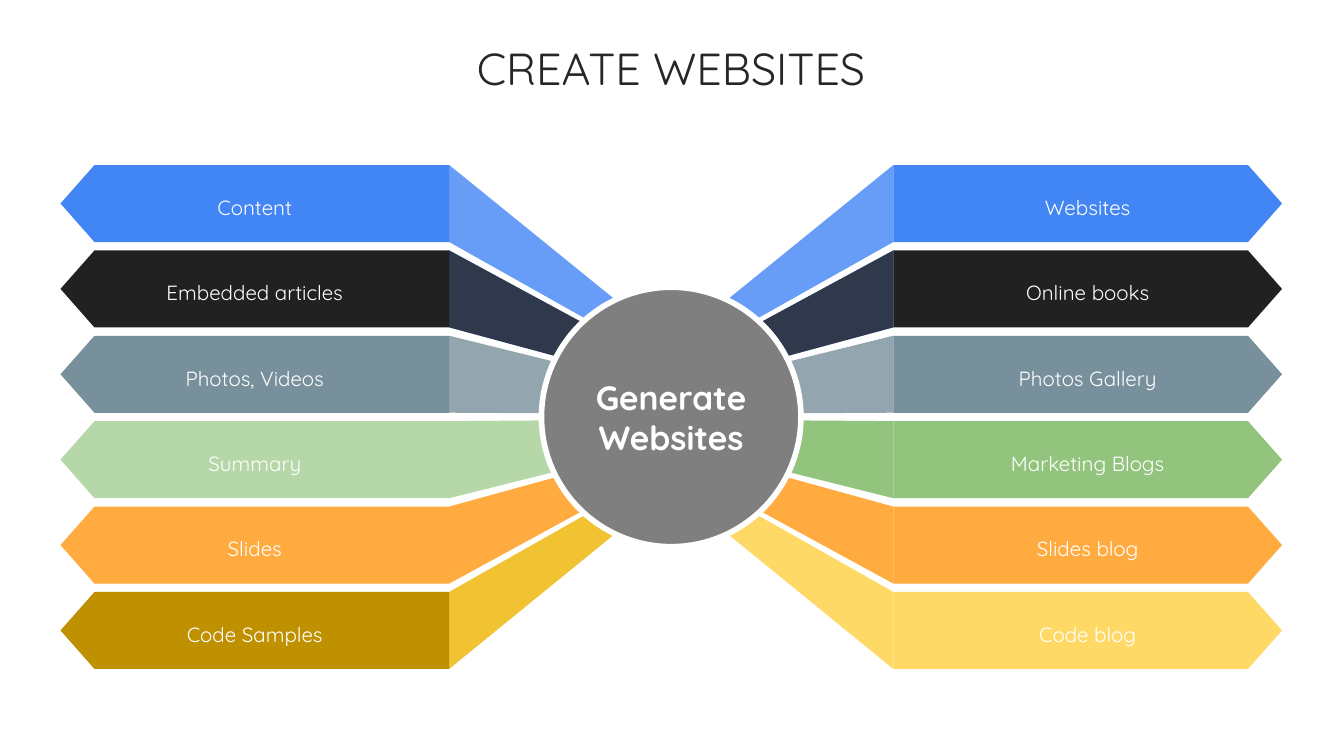
from dataclasses import dataclass

from lxml.etree import SubElement
from pptx import Presentation
from pptx.dml.color import RGBColor
from pptx.enum.shapes import MSO_SHAPE
from pptx.enum.text import MSO_ANCHOR as Anchor, PP_ALIGN as Align
from pptx.oxml.ns import qn
from pptx.util import Pt


@dataclass(frozen=True)
class Theme:
    font: str = "Quicksand"
    title_size: float = 24
    hub_size: float = 18
    label_size: float = 11
    title: str = "262626"
    white: str = "FFFFFF"
    hub: str = "7F7F7F"
    blue: str = "4285F4"
    black: str = "212121"
    slate: str = "78909C"
    pale_green: str = "B6D7A8"
    green: str = "93C47D"
    orange: str = "FFAB40"
    ochre: str = "BF9000"
    gold: str = "F1C232"
    yellow: str = "FFD966"


@dataclass(frozen=True)
class Arm:
    label: str
    bar: str
    band: str
    alpha: int = 100
    underlay: str = ""


T = Theme()

# Geometry in points; the right side mirrors the left about AXIS
AXIS = 359.6
TIP, SHOULDER, INNER, HUB_EDGE = 32.4, 50.6, 240.6, 351.8
TOP, PITCH, BAR_H = 88.4, 45.75, 41.25
HUB_Y, HUB_D = 223.4, 139
# Where each band meets the hub: upper and lower y
BAND_ENDS = [(178.6, 192.2), (194.4, 205.4), (207.4, 221.8),
             (224.8, 239.2), (240.8, 252), (254.2, 267.8)]

LEFT = [
    Arm("Content", T.blue, T.blue, 80),
    Arm("Embedded articles", T.black, T.black, 80, T.blue),
    Arm("Photos, Videos", T.slate, T.slate, 80),
    Arm("Summary", T.pale_green, T.pale_green),
    Arm("Slides", T.orange, T.orange),
    Arm("Code Samples", T.ochre, T.gold),
]
RIGHT = [
    Arm("Websites", T.blue, T.blue, 80),
    Arm("Online books", T.black, T.black, 80, T.blue),
    Arm("Photos Gallery", T.slate, T.slate, 80),
    Arm("Marketing Blogs", T.green, T.green),
    Arm("Slides blog", T.orange, T.orange),
    Arm("Code blog", T.yellow, T.yellow),
]


def paint(sp, color: str, alpha: int = 100) -> None:
    sp.shadow.inherit = False
    sp.fill.solid()
    sp.fill.fore_color.rgb = RGBColor.from_string(color)
    if alpha < 100:
        clr = sp.fill._xPr.find(qn("a:solidFill")).find(qn("a:srgbClr"))
        SubElement(clr, qn("a:alpha"), val=str(alpha * 1000))


def write(sp, text: str, size: float, color: str, bold: bool = False,
          spacing: float = 1.0) -> None:
    tf = sp.text_frame
    tf.text = text
    tf.word_wrap = True
    tf.vertical_anchor = Anchor.MIDDLE
    p = tf.paragraphs[0]
    p.alignment = Align.CENTER
    p.line_spacing = spacing
    font = p.runs[0].font
    font.name, font.size, font.bold = T.font, Pt(size), bold
    font.color.rgb = RGBColor.from_string(color)


def polygon(s, points: list, mirrored: bool, color: str, alpha: int = 100):
    pts = [(Pt(2 * AXIS - x if mirrored else x), Pt(y)) for x, y in points]
    builder = s.shapes.build_freeform(*pts[0], scale=1.0)
    builder.add_line_segments(pts[1:], close=True)
    sp = builder.convert_to_shape()
    paint(sp, color, alpha)
    sp.line.fill.background()
    return sp


def draw_arm(s, arm: Arm, row: int, mirrored: bool) -> None:
    top = TOP + row * PITCH
    bottom = top + BAR_H
    upper, lower = BAND_ENDS[row]

    # Band from the bar to the hub
    band = [(INNER, top), (HUB_EDGE, upper), (HUB_EDGE, lower), (INNER, bottom)]
    if arm.underlay:
        polygon(s, band, mirrored, arm.underlay, arm.alpha)
    polygon(s, band, mirrored, arm.band, arm.alpha)

    # Pointed bar with its label
    bar = [(INNER, top), (SHOULDER, top), (TIP, top + BAR_H / 2),
           (SHOULDER, bottom), (INNER, bottom)]
    sp = polygon(s, bar, mirrored, arm.bar)
    write(sp, arm.label, T.label_size, T.white, spacing=1.3)


def draw_hub(s, text: str) -> None:
    sp = s.shapes.add_shape(MSO_SHAPE.OVAL, Pt(AXIS - HUB_D / 2),
                            Pt(HUB_Y - HUB_D / 2), Pt(HUB_D), Pt(HUB_D))
    paint(sp, T.hub)
    sp.line.color.rgb = RGBColor.from_string(T.white)
    sp.line.width = Pt(3)
    write(sp, text, T.hub_size, T.white, bold=True)


def draw_title(s, text: str) -> None:
    sp = s.shapes.title
    sp.left, sp.top, sp.width, sp.height = Pt(30), Pt(16.6), Pt(659), Pt(39)
    tf = sp.text_frame
    tf.margin_left = tf.margin_right = tf.margin_top = tf.margin_bottom = 0
    write(sp, text, T.title_size, T.title)


def main() -> None:
    prs = Presentation()
    prs.slide_width, prs.slide_height = Pt(720), Pt(405)
    s = prs.slides.add_slide(prs.slide_layouts[5])
    draw_title(s, "CREATE WEBSITES")
    for arms, mirrored in ((RIGHT, True), (LEFT, False)):
        for row, arm in enumerate(arms):
            draw_arm(s, arm, row, mirrored)
    draw_hub(s, "Generate Websites")
    prs.save("out.pptx")


if __name__ == "__main__":
    main()
